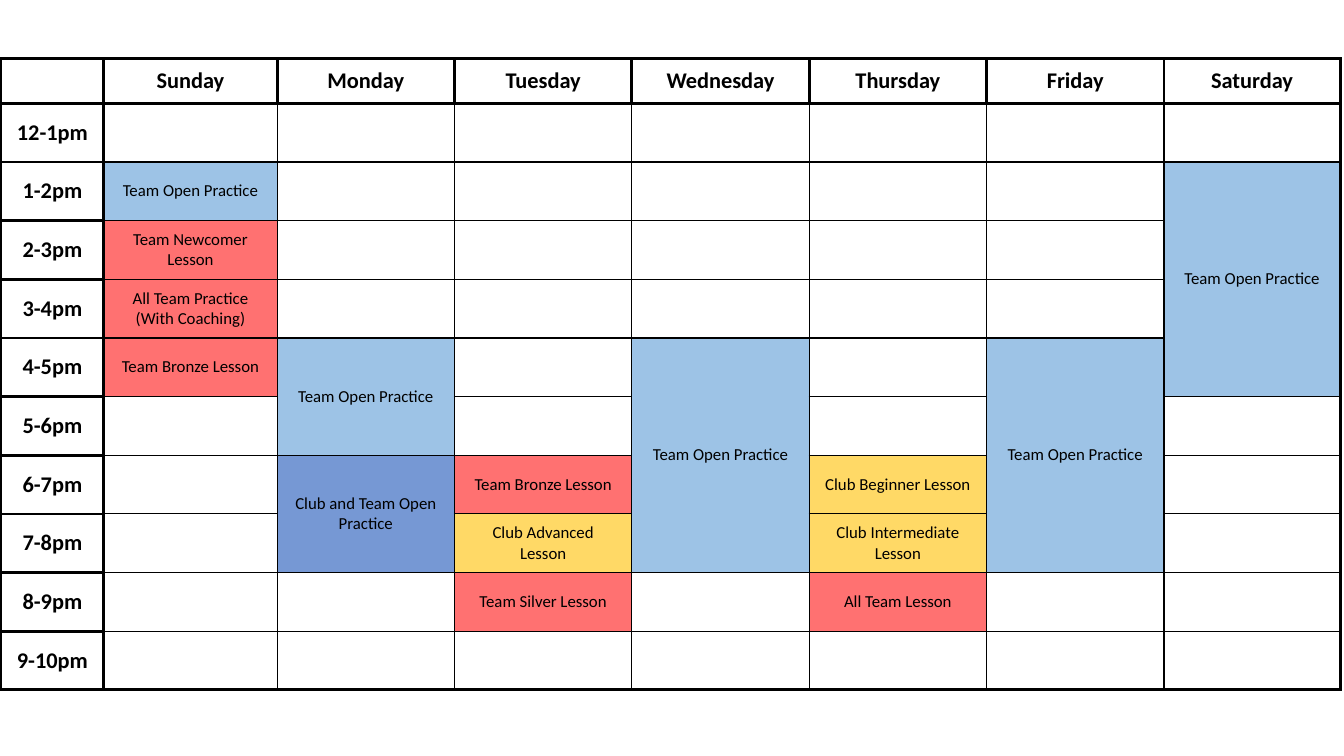
from lxml import etree
from pptx import Presentation
from pptx.dml.color import RGBColor
from pptx.enum.text import MSO_ANCHOR, PP_ALIGN
from pptx.oxml.ns import qn
from pptx.util import Pt

CENTER = PP_ALIGN.CENTER
MIDDLE = MSO_ANCHOR.MIDDLE

BLACK = RGBColor(0x00, 0x00, 0x00)
OPEN_BLUE = RGBColor(0x9D, 0xC3, 0xE6)
SHARED_BLUE = RGBColor(0x76, 0x98, 0xD4)
TEAM_RED = RGBColor(0xFF, 0x71, 0x71)
CLUB_YELLOW = RGBColor(0xFF, 0xD9, 0x66)

THICK, THIN = 2.25, 1
HEADER_HEIGHT, HOUR_HEIGHT = 32, 41.9
COLUMN_WIDTHS = [73.5, 123.8] + [126.7] * 5 + [126]

DAYS = ["Sunday", "Monday", "Tuesday", "Wednesday", "Thursday", "Friday", "Saturday"]
HOURS = ["12-1pm"] + [f"{hour}-{hour + 1}pm" for hour in range(1, 10)]

SESSIONS = [
    ("Sunday", 1, 1, "Team Open Practice", OPEN_BLUE),
    ("Sunday", 2, 1, "Team Newcomer Lesson", TEAM_RED),
    ("Sunday", 3, 1, "All Team Practice (With Coaching)", TEAM_RED),
    ("Sunday", 4, 1, "Team Bronze Lesson", TEAM_RED),
    ("Monday", 4, 2, "Team Open Practice", OPEN_BLUE),
    ("Monday", 6, 2, "Club and Team Open Practice", SHARED_BLUE),
    ("Tuesday", 6, 1, "Team Bronze Lesson", TEAM_RED),
    ("Tuesday", 7, 1, "Club Advanced Lesson", CLUB_YELLOW),
    ("Tuesday", 8, 1, "Team Silver Lesson", TEAM_RED),
    ("Wednesday", 4, 4, "Team Open Practice", OPEN_BLUE),
    ("Thursday", 6, 1, "Club Beginner Lesson", CLUB_YELLOW),
    ("Thursday", 7, 1, "Club Intermediate Lesson", CLUB_YELLOW),
    ("Thursday", 8, 1, "All Team Lesson", TEAM_RED),
    ("Friday", 4, 4, "Team Open Practice", OPEN_BLUE),
    ("Saturday", 1, 4, "Team Open Practice", OPEN_BLUE),
]


class ScheduleSlide:
    """Holds the slide and the text style of a weekly schedule."""

    def __init__(self, slide, font="Calibri"):
        self.slide = slide
        self.font = font

    def grid(self, left, top, widths, heights):
        frame = self.slide.shapes.add_table(
            len(heights), len(widths), Pt(left), Pt(top), Pt(sum(widths)), Pt(sum(heights)))
        table = frame.table
        table.first_row = table.horz_banding = False
        for column, width in zip(table.columns, widths):
            column.width = Pt(width)
        for row, height in zip(table.rows, heights):
            row.height = Pt(height)
        last_row, last_column = len(heights) - 1, len(widths) - 1
        for r in range(len(heights)):
            for c in range(len(widths)):
                heading = r == 0 or c == 0
                cell = table.cell(r, c)
                self.borders(cell, {
                    "L": heading or c == 1,
                    "R": heading or c == last_column,
                    "T": heading or r == 1,
                    "B": heading or r == last_row,
                })
                cell.fill.background()
        return table

    def borders(self, cell, thick_sides):
        properties = cell._tc.get_or_add_tcPr()
        for side, thick in thick_sides.items():
            line = etree.SubElement(properties, qn(f"a:ln{side}"),
                                    w=str(Pt(THICK if thick else THIN)))
            fill = etree.SubElement(line, qn("a:solidFill"))
            etree.SubElement(fill, qn("a:srgbClr"), val=str(BLACK))

    def label(self, cell, text, size, bold=False):
        cell.vertical_anchor = MIDDLE
        cell.margin_left = cell.margin_right = Pt(9.4)
        cell.margin_top = cell.margin_bottom = Pt(5)
        paragraph = cell.text_frame.paragraphs[0]
        paragraph.alignment = CENTER
        run = paragraph.add_run()
        run.text = text
        run.font.name = self.font
        run.font.size = Pt(size)
        run.font.bold = bold
        run.font.color.rgb = BLACK

    def session(self, table, column, row, hours, text, color):
        first = table.cell(row, column)
        if hours > 1:
            first.merge(table.cell(row + hours - 1, column))
        for offset in range(hours):
            fill = table.cell(row + offset, column).fill
            fill.solid()
            fill.fore_color.rgb = color
        self.label(first, text, 12)


def main():
    deck = Presentation()
    deck.slide_width, deck.slide_height = Pt(960), Pt(540)
    schedule = ScheduleSlide(deck.slides.add_slide(deck.slide_layouts[6]))
    week = schedule.grid(0.7, 41.8, COLUMN_WIDTHS,
                         [HEADER_HEIGHT] + [HOUR_HEIGHT] * len(HOURS))
    for column, day in enumerate(DAYS, 1):
        schedule.label(week.cell(0, column), day, 16, bold=True)
    for row, hour in enumerate(HOURS, 1):
        schedule.label(week.cell(row, 0), hour, 16, bold=True)
    for day, start, hours, text, color in SESSIONS:
        schedule.session(week, DAYS.index(day) + 1, start + 1, hours, text, color)
    deck.save("out.pptx")


if __name__ == "__main__":
    main()
